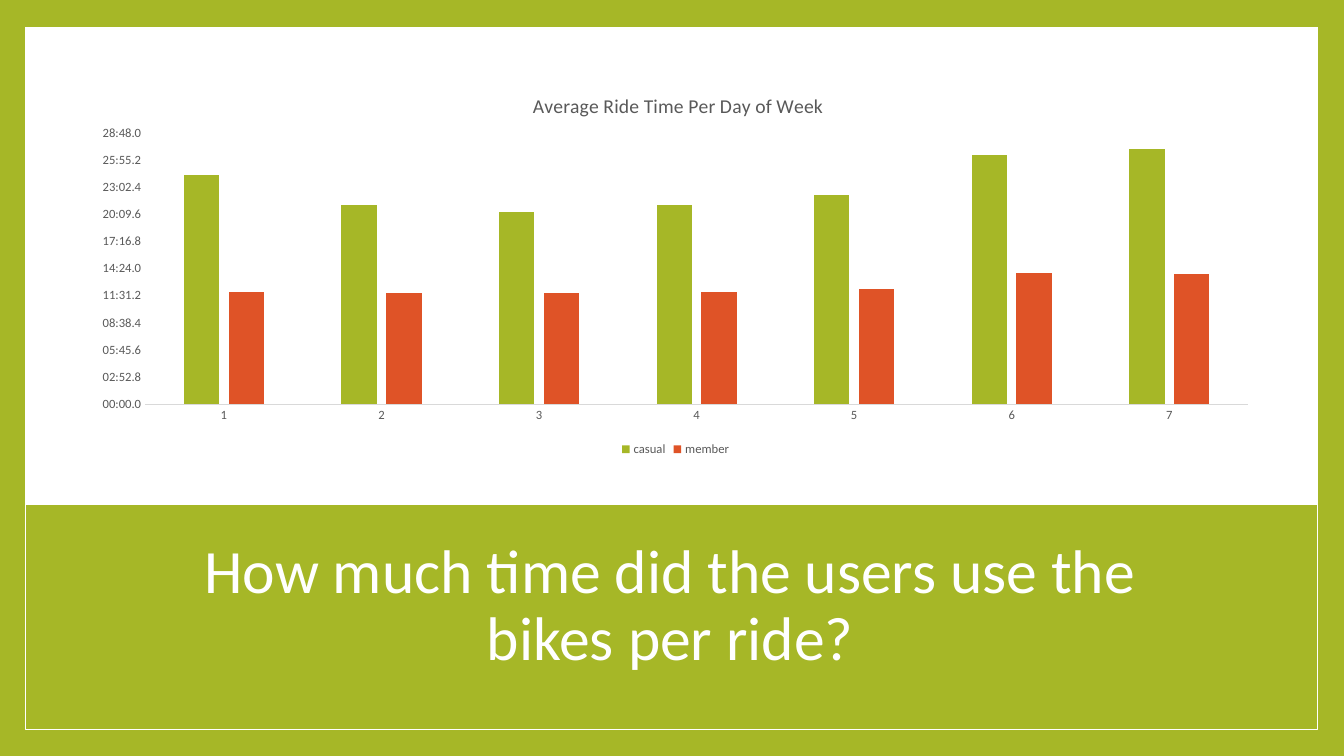
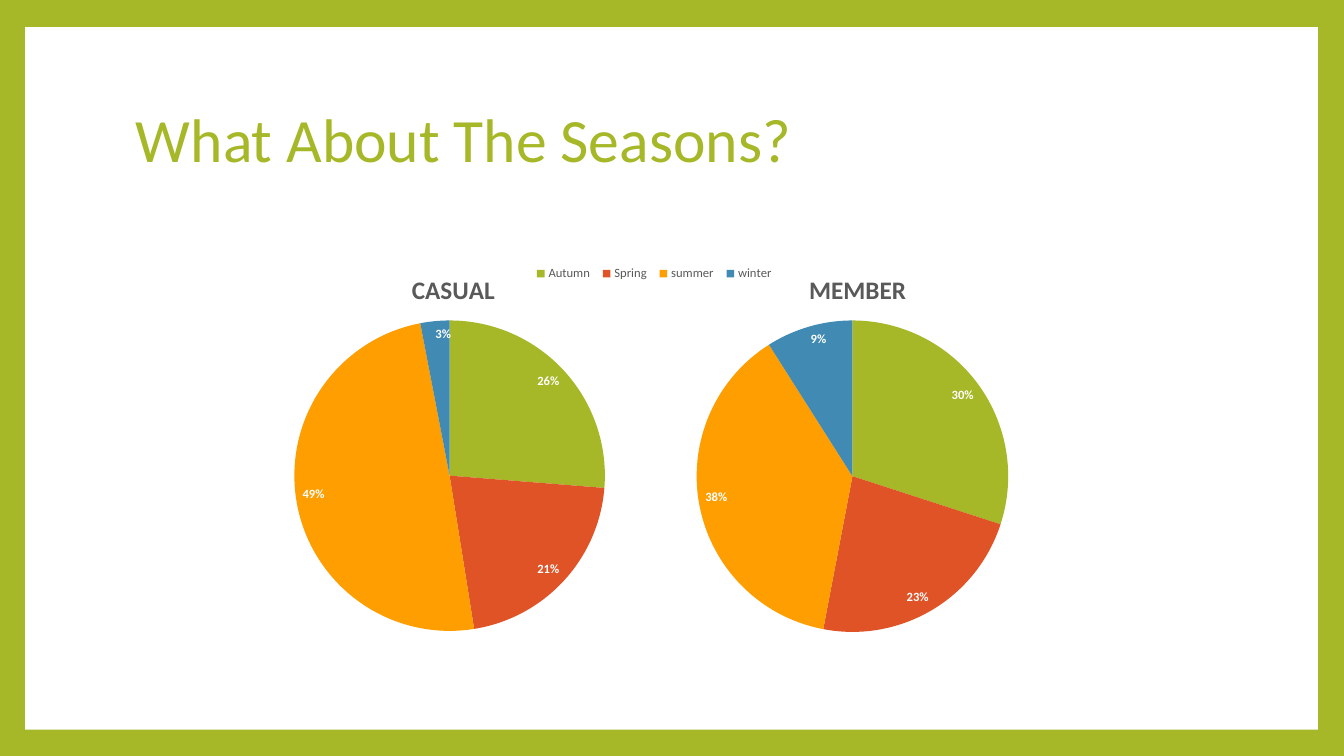
from dataclasses import dataclass

from lxml.etree import SubElement
from pptx import Presentation
from pptx.chart.data import CategoryChartData
from pptx.dml.color import RGBColor
from pptx.enum.chart import XL_CHART_TYPE as ChartType
from pptx.enum.chart import XL_LABEL_POSITION as LabelPosition
from pptx.enum.chart import XL_LEGEND_POSITION as LegendPosition
from pptx.enum.chart import XL_TICK_MARK as TickMark
from pptx.enum.shapes import MSO_SHAPE as Preset
from pptx.enum.text import MSO_ANCHOR as Anchor
from pptx.enum.text import PP_ALIGN as Align
from pptx.oxml import parse_xml
from pptx.oxml.ns import nsdecls, qn
from pptx.util import Inches, Pt

FONT = "Calibri"
COLORS = {
    "green": "A6B727",
    "red": "DF5327",
    "orange": "FE9E00",
    "blue": "418AB3",
    "white": "FFFFFF",
    "grey": "595959",
    "rule": "D9D9D9",
}
SERIES_COLORS = ("green", "red", "orange", "blue")


@dataclass(frozen=True)
class Box:
    left: float
    top: float
    width: float
    height: float

    def lengths(self) -> tuple:
        return tuple(map(Inches, (self.left, self.top, self.width, self.height)))

    def share_of(self, outer: "Box") -> dict:
        return {
            "x": (self.left - outer.left) / outer.width,
            "y": (self.top - outer.top) / outer.height,
            "w": self.width / outer.width,
            "h": self.height / outer.height,
        }


@dataclass(frozen=True)
class Pie:
    title: str
    frame: Box
    plot: Box
    title_box: Box
    categories: tuple
    values: tuple
    legend_box: Box | None = None


PANEL = Box(0.25, 0.27, 12.82, 6.97)
BAND = Box(0.25, 5, 12.82, 2.24)

RIDE_FRAME = Box(0.78, 0.7, 11.84, 3.87)
RIDE_PLOT = Box(1.44, 1.32, 10.94, 2.69)
RIDE_TITLE = Box(5.25, 0.88, 2.9, 0.24)
RIDE_TIMES = {
    "casual": (0.0169, 0.0147, 0.0142, 0.0147, 0.0154, 0.0184, 0.0188),
    "member": (0.0083, 0.0082, 0.0082, 0.0083, 0.0085, 0.0097, 0.0096),
}

PIES = (
    Pie("CASUAL", Box(1.06, 2.45, 6.79, 4.24), Box(2.92, 3.18, 3.08, 3.08),
        Box(4.04, 2.66, 0.83, 0.31), ("Autumn", "Spring", "summer", "winter"),
        (26, 21, 49, 3), Box(5.24, 2.6, 2.5, 0.23)),
    Pie("MEMBER", Box(5.46, 2.45, 5.99, 3.95), Box(6.91, 3.18, 3.09, 3.09),
        Box(7.98, 2.66, 0.95, 0.31), ("1", "2", "3", "4"), (30, 23, 38, 9)),
)


def rgb(name: str) -> RGBColor:
    return RGBColor.from_string(COLORS[name])


def style_font(font, size: float, color: str, bold: bool = False) -> None:
    font.name = FONT
    font.size = Pt(size)
    font.bold = bold
    font.color.rgb = rgb(color)


def paint(fill, color: str) -> None:
    fill.solid()
    fill.fore_color.rgb = rgb(color)


def add_block(slide, box: Box, color: str, outline: str | None = None) -> None:
    block = slide.shapes.add_shape(Preset.RECTANGLE, *box.lengths())
    block.shadow.inherit = False
    paint(block.fill, color)
    if outline:
        block.line.color.rgb = rgb(outline)
        block.line.width = Pt(1)
    else:
        block.line.fill.background()


def add_framed_slide(deck):
    slide = deck.slides.add_slide(deck.slide_layouts[6])
    paint(slide.background.fill, "green")
    add_block(slide, PANEL, "white")
    return slide


def add_headline(slide, text: str, top: float, color: str, align: Align) -> None:
    frame = slide.shapes.add_textbox(*Box(1.25, top, 10.8, 1.48).lengths()).text_frame
    frame.word_wrap = True
    frame.vertical_anchor = Anchor.MIDDLE
    headline = frame.paragraphs[0]
    headline.text = text
    headline.alignment = align
    headline.line_spacing = 0.9
    style_font(headline.font, 44, color)


def place(part, box: Box, frame: Box, after: str | None = None) -> None:
    for old in part.findall(qn("c:layout")):
        part.remove(old)
    layout = parse_xml(f"<c:layout {nsdecls('c')}><c:manualLayout/></c:layout>")
    manual = layout[0]
    if after is None:
        SubElement(manual, qn("c:layoutTarget")).set("val", "inner")
        part.insert(0, layout)
    else:
        part.find(qn(after)).addnext(layout)
    for axis in "xy":
        SubElement(manual, qn(f"c:{axis}Mode")).set("val", "edge")
    for key, value in box.share_of(frame).items():
        SubElement(manual, qn(f"c:{key}")).set("val", f"{value:.4f}")


def add_titled_chart(slide, kind: ChartType, data: CategoryChartData, frame: Box,
                     plot: Box, title: str, title_box: Box, size: float, bold: bool):
    chart = slide.shapes.add_chart(kind, *frame.lengths(), data).chart
    chart.element.find(qn("c:chart")).addnext(parse_xml(
        f"<c:spPr {nsdecls('c', 'a')}><a:noFill/><a:ln><a:noFill/></a:ln></c:spPr>"))
    chart.font.name = FONT
    chart.font.size = Pt(10)
    chart.has_title = True
    heading = chart.chart_title
    heading.include_in_layout = False
    heading.text_frame.text = title
    style_font(heading.text_frame.paragraphs[0].font, size, "grey", bold)
    place(heading.text_frame._txBody.getparent().getparent(), title_box, frame, "c:tx")
    place(chart.element.find(".//" + qn("c:plotArea")), plot, frame)
    chart.has_legend = False
    return chart


def add_legend(chart) -> None:
    chart.has_legend = True
    chart.legend.position = LegendPosition.BOTTOM
    chart.legend.include_in_layout = False
    style_font(chart.legend.font, 9, "grey")


def add_ride_chart(slide) -> None:
    data = CategoryChartData(number_format="mm:ss.0")
    data.categories = [str(day) for day in range(1, 8)]
    for rider, times in RIDE_TIMES.items():
        data.add_series(rider, times)
    chart = add_titled_chart(slide, ChartType.COLUMN_CLUSTERED, data, RIDE_FRAME,
                             RIDE_PLOT, "Average Ride Time Per Day of Week",
                             RIDE_TITLE, 14, False)
    add_legend(chart)
    columns = chart.plots[0]
    columns.gap_width = 219
    columns.overlap = -27
    columns.vary_by_categories = False
    for series, color in zip(columns.series, SERIES_COLORS):
        paint(series.format.fill, color)
    days, minutes = chart.category_axis, chart.value_axis
    for axis in (days, minutes):
        axis.major_tick_mark = axis.minor_tick_mark = TickMark.NONE
        axis.has_major_gridlines = False
        style_font(axis.tick_labels.font, 9, "grey")
    days.format.line.color.rgb = rgb("rule")
    days.format.line.width = Pt(0.75)
    minutes.format.line.fill.background()
    minutes.minimum_scale = 0
    minutes.maximum_scale = 0.02
    minutes.major_unit = 0.002
    minutes.tick_labels.number_format = "mm:ss.0"
    minutes.tick_labels.number_format_is_linked = False


def add_pie(slide, pie: Pie) -> None:
    data = CategoryChartData()
    data.categories = pie.categories
    data.add_series("Series 1", pie.values)
    chart = add_titled_chart(slide, ChartType.PIE, data, pie.frame, pie.plot,
                             pie.title, pie.title_box, 18, True)
    if pie.legend_box:
        add_legend(chart)
        place(chart.element.find(".//" + qn("c:legend")), pie.legend_box,
              pie.frame, "c:legendPos")
    plot = chart.plots[0]
    plot.vary_by_categories = True
    for index, color in enumerate(SERIES_COLORS):
        paint(plot.series[0].points[index].format.fill, color)
    plot.has_data_labels = True
    labels = plot.data_labels
    labels.show_percentage = True
    labels.show_value = False
    labels.number_format = "0%"
    labels.number_format_is_linked = False
    labels.position = LabelPosition.INSIDE_END
    style_font(labels.font, 9, "white", True)


def main() -> None:
    deck = Presentation()
    deck.slide_width = Inches(13.33)
    deck.slide_height = Inches(7.5)

    ride_time = add_framed_slide(deck)
    add_block(ride_time, BAND, "green", "white")
    add_headline(ride_time, "How much time did the users use the bikes per ride?",
                 5.28, "white", Align.CENTER)
    add_ride_chart(ride_time)

    seasons = add_framed_slide(deck)
    add_headline(seasons, "What About The Seasons?", 0.67, "green", Align.LEFT)
    for pie in PIES:
        add_pie(seasons, pie)

    deck.save("out.pptx")


if __name__ == "__main__":
    main()
